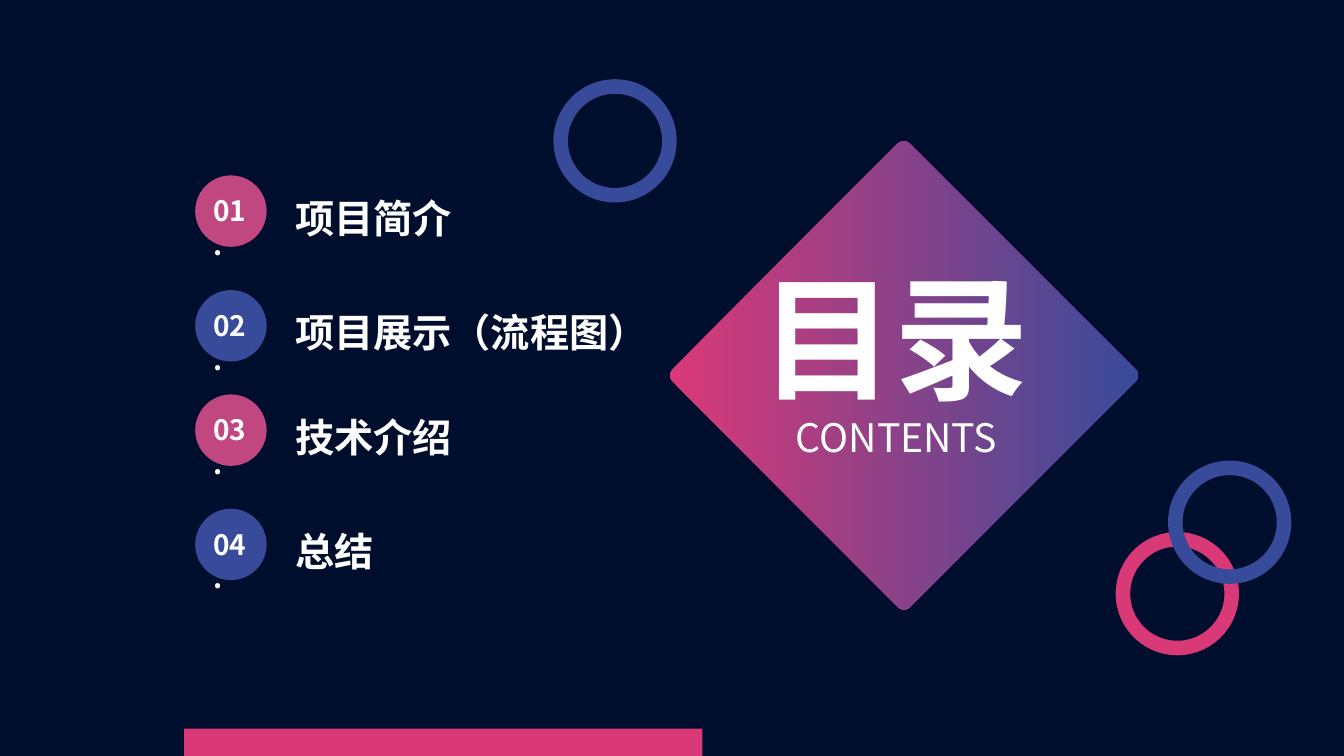
from lxml.etree import SubElement
from pptx import Presentation
from pptx.dml.color import RGBColor
from pptx.enum.shapes import MSO_SHAPE
from pptx.enum.text import MSO_ANCHOR, MSO_AUTO_SIZE, PP_ALIGN
from pptx.oxml.ns import qn
from pptx.util import Cm, Pt

FONT = "Noto Sans CJK SC"
PINK, ROSE, BLUE, NAVY, WHITE = "DA3977", "C14781", "384B9A", "000E2D", "FFFFFF"


def paint(color, value):
    color.rgb = RGBColor.from_string(value)


def write(box, place, text, size, bold=True, wrap=True, align=PP_ALIGN.LEFT):
    box.left, box.top, box.width, box.height = [Cm(length) for length in place]
    frame = box.text_frame
    frame_format = {
        "word_wrap": wrap,
        "auto_size": MSO_AUTO_SIZE.SHAPE_TO_FIT_TEXT,
        "vertical_anchor": MSO_ANCHOR.TOP,
    }
    for name, value in frame_format.items():
        setattr(frame, name, value)
    para = frame.paragraphs[0]
    para.alignment = align
    span = para.add_run()
    span.text = text
    for name, value in {"name": FONT, "size": Pt(size), "bold": bold}.items():
        setattr(span.font, name, value)
    paint(span.font.color, WHITE)
    SubElement(span.font._element, qn("a:ea"), typeface=FONT)


deck = Presentation()
deck.slide_width, deck.slide_height = Cm(33.87), Cm(19.05)
page = deck.slides.add_slide(deck.slide_layouts[5])
shapes = page.shapes
page.background.fill.solid()
paint(page.background.fill.fore_color, NAVY)

center_x, center_y = 22.78, 9.46
reach, bulge, half_tip, steps = 5.84, 0.08, 0.15, 8
outline = []
for out_x, out_y in [(0, 1), (-1, 0), (0, -1), (1, 0)]:
    for step in range(steps + 1):
        part = step / steps
        along = reach + bulge * 3 * part * (1 - part)
        across = half_tip * (2 * part - 1)
        outline.append((
            Cm(center_x + out_x * along - out_y * across),
            Cm(center_y + out_y * along + out_x * across),
        ))
builder = shapes.build_freeform(*outline[0])
builder.add_line_segments(outline[1:], close=True)
diamond = builder.convert_to_shape()
diamond.shadow.inherit = False
diamond.line.fill.background()
diamond.fill.gradient()
diamond.fill.gradient_angle = 0
for stop, value, position in zip(diamond.fill.gradient_stops, (PINK, BLUE), (0, 1)):
    paint(stop.color, value)
    stop.position = position

for left, top, value in [(14.13, 2.18, BLUE), (28.3, 13.59, PINK), (29.62, 11.79, BLUE)]:
    ring = shapes.add_shape(MSO_SHAPE.OVAL, Cm(left), Cm(top), Cm(2.74), Cm(2.74))
    ring.shadow.inherit = False
    ring.fill.background()
    ring.line.width = Pt(10.38)
    paint(ring.line.color, value)

topics = [
    (4.42, 4.5, "项目简介"),
    (7.31, 9.5, "项目展示（流程图）"),
    (9.94, 4.5, "技术介绍"),
    (12.82, 2.52, "总结"),
]
solids = [(MSO_SHAPE.RECTANGLE, 4.64, 18.36, 13.06, 0.69, PINK)]
for index, (top, width, topic) in enumerate(topics):
    solids.append((MSO_SHAPE.OVAL, 4.92, top, 1.8, 1.8, (ROSE, BLUE)[index % 2]))
for kind, left, top, width, height, value in solids:
    solid = shapes.add_shape(kind, Cm(left), Cm(top), Cm(width), Cm(height))
    solid.shadow.inherit = False
    solid.line.fill.background()
    solid.fill.solid()
    paint(solid.fill.fore_color, value)

for number, (top, width, topic) in enumerate(topics, 1):
    text_top = top + 0.34
    write(shapes.add_textbox(0, 0, 0, 0), (7.19, text_top, width, 1.45), topic, 28, wrap=False)
    write(shapes.add_textbox(0, 0, 0, 0), (5.13, text_top, 1.52, 1.11), f"{number:02}.", 20)

title = shapes.title
write(title, (18.9, 6.3, 7.77, 4.37), "目录", 96)
shapes._spTree.append(title._element)
write(shapes.add_textbox(0, 0, 0, 0), (19.81, 10.29, 5.94, 1.45), "CONTENTS", 28,
      bold=False, align=PP_ALIGN.JUSTIFY)

deck.save("out.pptx")
